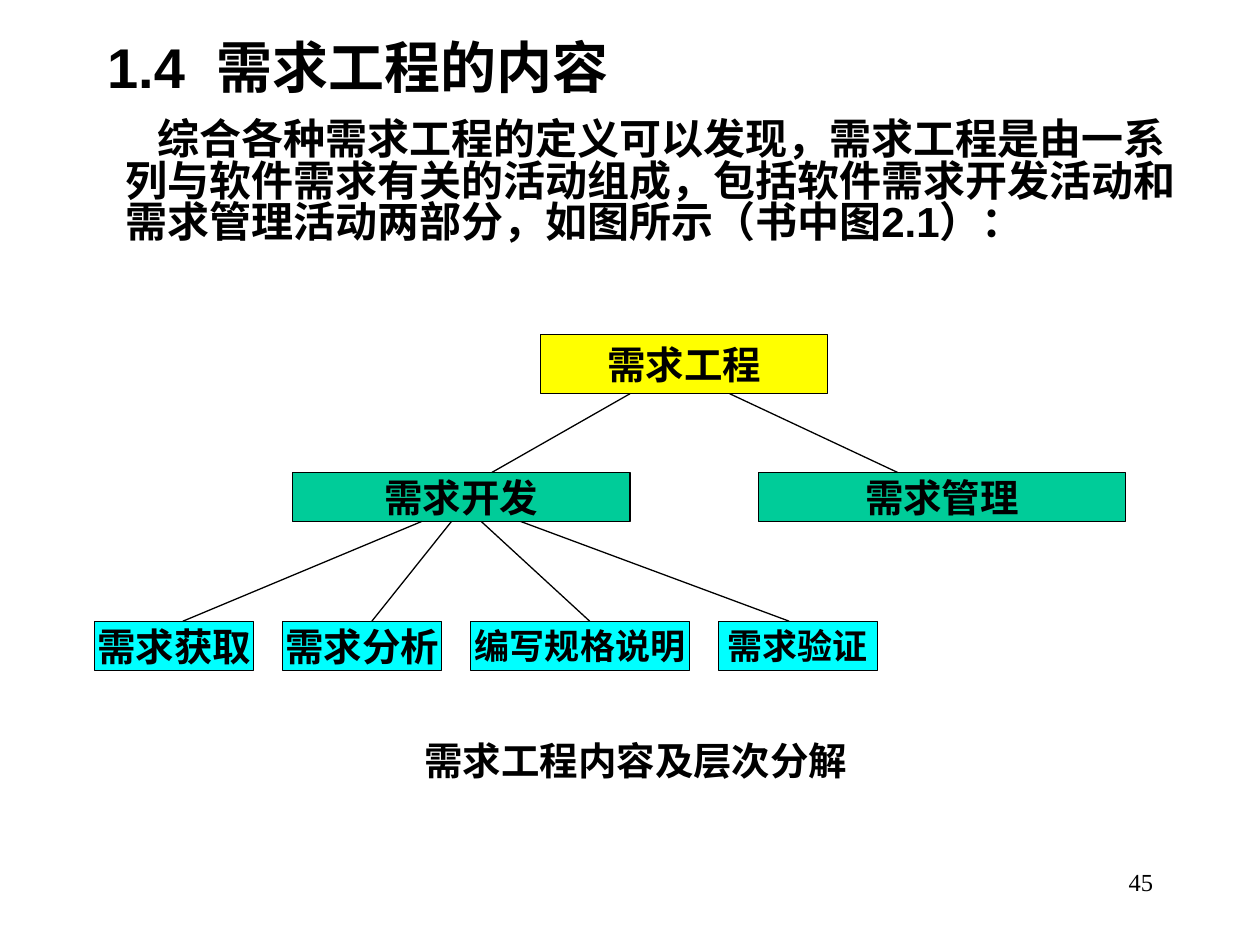
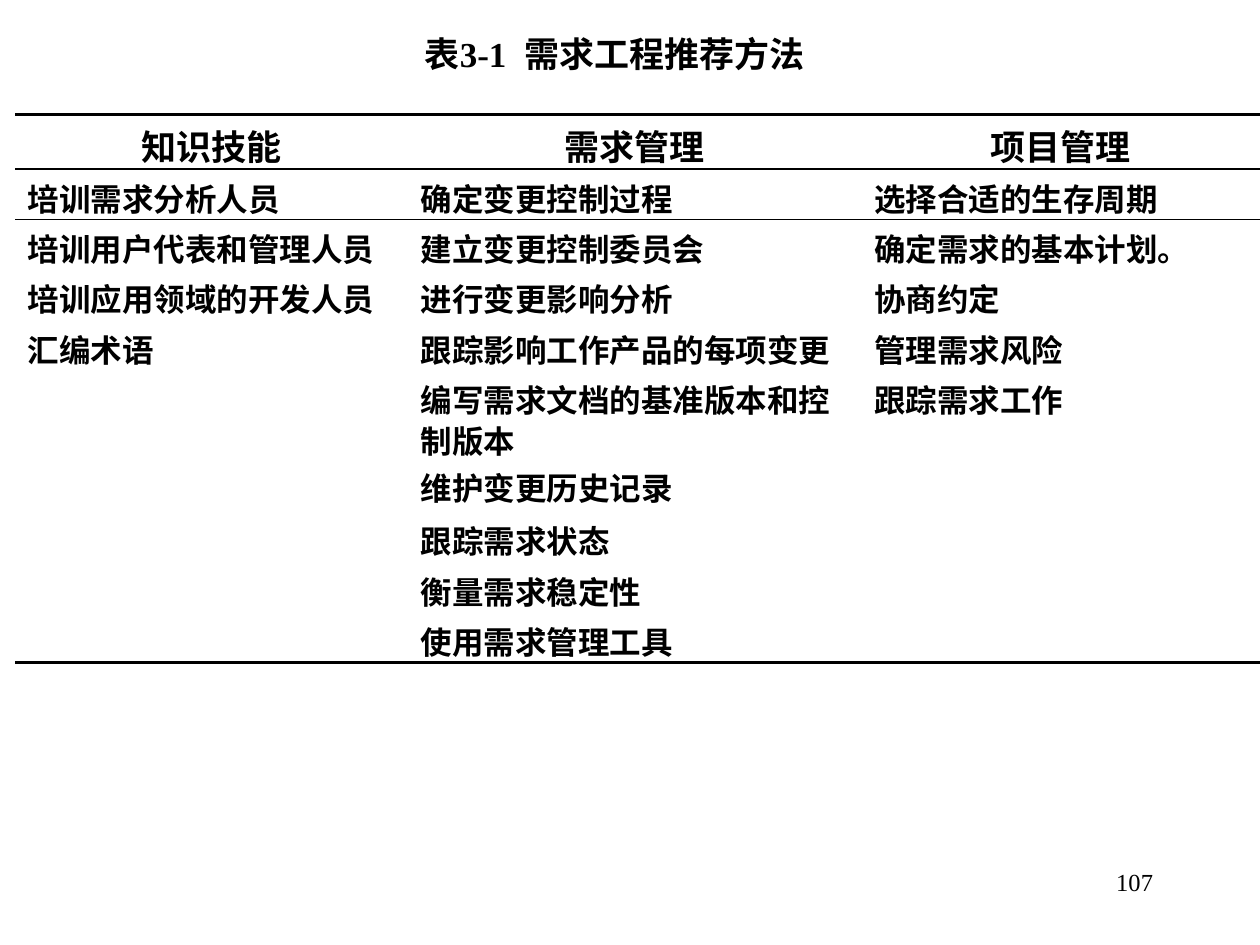
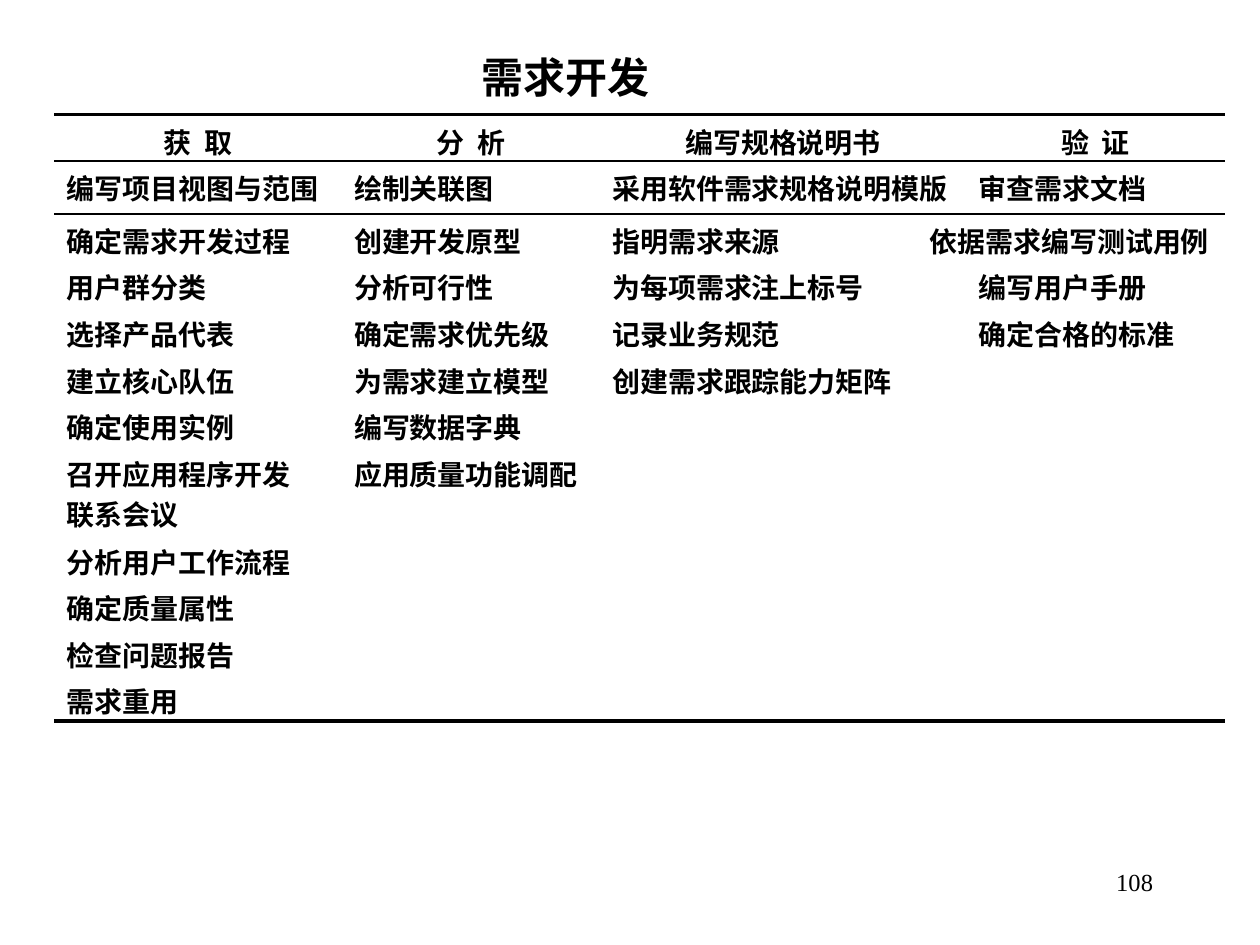
from itertools import zip_longest

from lxml.etree import SubElement
from pptx import Presentation
from pptx.dml.color import RGBColor
from pptx.enum.shapes import MSO_CONNECTOR, MSO_SHAPE
from pptx.enum.text import MSO_ANCHOR, MSO_AUTO_SIZE, PP_ALIGN
from pptx.oxml.ns import qn
from pptx.util import Pt

INK, ROOT, PART, LEAF = "000000", "FFFF00", "00CC99", "00FFFF"
SERIF, SANS = "Times New Roman", "Arial"
LEFT, MID, RIGHT = PP_ALIGN.LEFT, PP_ALIGN.CENTER, PP_ALIGN.RIGHT
PLAIN = "{2D5ABB26-0587-4C30-8999-92F81FD0307C}"


def tint(code):
    return RGBColor.from_string(code)


def write(frame, text, size=22, face=SERIF, bold=True, align=LEFT,
          anchor=MSO_ANCHOR.TOP, wrap=True, lead=None, before=0):
    """Fill a frame, one paragraph for each line of text."""
    frame.word_wrap = wrap
    frame.vertical_anchor = anchor
    for i, line in enumerate(text.split("\n")):
        para = frame.add_paragraph() if i else frame.paragraphs[0]
        para.alignment = align
        para.space_before = Pt(before)
        if lead:
            para.line_spacing = lead
        run = para.add_run()
        run.text = line
        font = run.font
        font.size, font.name, font.bold = Pt(size), face, bold
        font.color.rgb = tint(INK)


def rule(cell, side, width):
    """Draw one border of a cell; side is lnT or lnB."""
    edge = SubElement(cell._tc.get_or_add_tcPr(), qn("a:" + side), w=str(Pt(width)))
    fill = SubElement(edge, qn("a:solidFill"))
    SubElement(fill, qn("a:srgbClr"), val=INK)


class Deck:
    def __init__(self):
        self.prs = Presentation()
        self.prs.slide_width, self.prs.slide_height = Pt(720), Pt(540)

    def page(self, number, title, spot, **style):
        layout = self.prs.slide_layouts[5]
        self.slide = self.prs.slides.add_slide(layout)
        head = self.slide.shapes.title
        head.left, head.top, head.width, head.height = map(Pt, spot)
        head.text_frame.auto_size = MSO_AUTO_SIZE.NONE
        write(head.text_frame, title, anchor=MSO_ANCHOR.MIDDLE, **style)
        self.text(number, (516, 492, 150, 36), size=14, bold=False, align=RIGHT)

    def text(self, text, spot, **style):
        box = self.slide.shapes.add_textbox(*map(Pt, spot))
        write(box.text_frame, text, **style)
        return box

    def box(self, text, spot, fill, size=22):
        box = self.slide.shapes.add_shape(MSO_SHAPE.RECTANGLE, *map(Pt, spot))
        box.shadow.inherit = False
        box.fill.solid()
        box.fill.fore_color.rgb = tint(fill)
        box.line.color.rgb = tint(INK)
        box.line.width = Pt(0.75)
        write(box.text_frame, text, size=size, align=MID,
              anchor=MSO_ANCHOR.MIDDLE, wrap=False)

    def line(self, *ends):
        line = self.slide.shapes.add_connector(MSO_CONNECTOR.STRAIGHT, *map(Pt, ends))
        line.line.color.rgb = tint(INK)
        line.line.width = Pt(0.75)
        SubElement(line._element.spPr, qn("a:effectLst"))

    def table(self, spot, cols, tall, rows, sizes, pad, lead=None, joins=None):
        """Joins gives, for each row, the column that merges with the next."""
        shape = self.slide.shapes.add_table(len(rows), len(cols), *map(Pt, spot),
                                            Pt(sum(cols)), Pt(sum(tall)))
        grid = shape.table
        grid.first_row = grid.horz_banding = False
        grid._tbl.tblPr.find(qn("a:tableStyleId")).text = PLAIN
        for col, width in zip(grid.columns, cols):
            col.width = Pt(width)
        last = len(rows) - 1
        for r, texts in enumerate(rows):
            grid.rows[r].height = Pt(tall[r])
            cells = [grid.cell(r, c) for c in range(len(cols))]
            for cell in cells:
                cell.margin_top, cell.margin_bottom = Pt(pad), 0
                if r < 2:
                    rule(cell, "lnT", 1 if r else 2)
                if r in (0, last):
                    rule(cell, "lnB", 2 if r else 1)
                cell.fill.background()
            if joins:
                at = joins[r]
                cells[at].merge(cells[at + 1])
                del cells[at + 1]
            for cell, text in zip(cells, texts):
                if text:
                    write(cell.text_frame, text, size=sizes[r > 0], lead=lead,
                          align=LEFT if r else MID)


def flip(*columns):
    """Turn columns of unequal length into rows."""
    return list(zip_longest(*columns, fillvalue=""))


def tree(deck):
    deck.page("45", "1.4  需求工程的内容", (54, 15, 612, 46), size=32, face=SANS)
    intro = deck.text(
        "综合各种需求工程的定义可以发现，需求工程是由一系列与软件需求有关的活动组成，"
        "包括软件需求开发活动和需求管理活动两部分，如图所示（书中图2.1）：",
        (37.5, 65.5, 646.5, 119), size=24, face=SANS, lead=0.83, before=3)
    props = intro.text_frame.paragraphs[0]._p.get_or_add_pPr()
    props.set("marL", str(Pt(27)))
    props.set("indent", str(Pt(18.5)))

    deck.box("需求工程", (309, 191, 164, 34), ROOT)
    deck.box("需求开发", (167, 270, 193, 28), PART)
    deck.box("需求管理", (433.5, 270, 209.5, 28), PART)
    left, gap = 54, 16.5
    for name, width, size in (("需求获取", 91, 22), ("需求分析", 91, 22),
                              ("编写规格说明", 125, 20), ("需求验证", 91, 20)):
        deck.box(name, (left, 355, width, 28), LEAF, size)
        left += width + gap

    for start, end in ((360, 281), (417, 513)):
        deck.line(start, 225, end, 270)
    for start, end in ((241, 104.5), (258, 212.5), (275, 337), (297.5, 451)):
        deck.line(start, 298, end, 355)
    deck.text("需求工程内容及层次分解", (235.5, 417.5, 256.5, 34), wrap=False)


def methods(deck):
    deck.page("107", "表3-1  需求工程推荐方法", (206.5, 15, 289.5, 31),
              size=20, align=MID)
    rows = flip(
        ["知识技能", "培训需求分析人员", "培训用户代表和管理人员",
         "培训应用领域的开发人员", "汇编术语"],
        ["需求管理", "确定变更控制过程", "建立变更控制委员会", "进行变更影响分析",
         "跟踪影响工作产品的每项变更", "编写需求文档的基准版本和控制版本",
         "维护变更历史记录", "跟踪需求状态", "衡量需求稳定性", "使用需求管理工具"],
        ["项目管理", "选择合适的生存周期", "确定需求的基本计划。", "协商约定",
         "管理需求风险", "跟踪需求工作"])
    tall = [31] + [28.8] * 4 + [50.4, 30.2] + [28.8] * 3
    deck.table((8.64, 65.5), (224.6, 259.2, 227.6), tall, rows, (20, 18),
               pad=5.4, lead=0.9)


def growth(deck):
    deck.page("108", "需求开发", (229.5, 26, 187, 36), size=24, align=MID)
    rows = flip(
        ["获  取", "编写项目视图与范围", "确定需求开发过程", "用户群分类",
         "选择产品代表", "建立核心队伍", "确定使用实例", "召开应用程序开发\n联系会议",
         "分析用户工作流程", "确定质量属性", "检查问题报告", "需求重用"],
        ["分  析", "绘制关联图", "创建开发原型", "分析可行性", "确定需求优先级",
         "为需求建立模型", "编写数据字典", "应用质量功能调配"],
        ["编写规格说明书", "采用软件需求规格说明模版", "指明需求来源",
         "为每项需求注上标号", "记录业务规范", "创建需求跟踪能力矩阵"],
        ["验  证", "审查需求文档", "依据需求编写测试用例", "编写用户手册",
         "确定合格的标准"])
    tall = [26.6, 30.2] + [26.6] * 5 + [50.4] + [26.6] * 4
    joins = [3 if r == 2 else 2 for r in range(len(rows))]
    deck.table((31, 65.5), (164.2, 147.6, 181.4, 28, 147.6), tall, rows, (16, 16),
               pad=3.5, joins=joins)


def main():
    deck = Deck()
    for draw in (tree, methods, growth):
        draw(deck)
    deck.prs.save("out.pptx")


if __name__ == "__main__":
    main()
